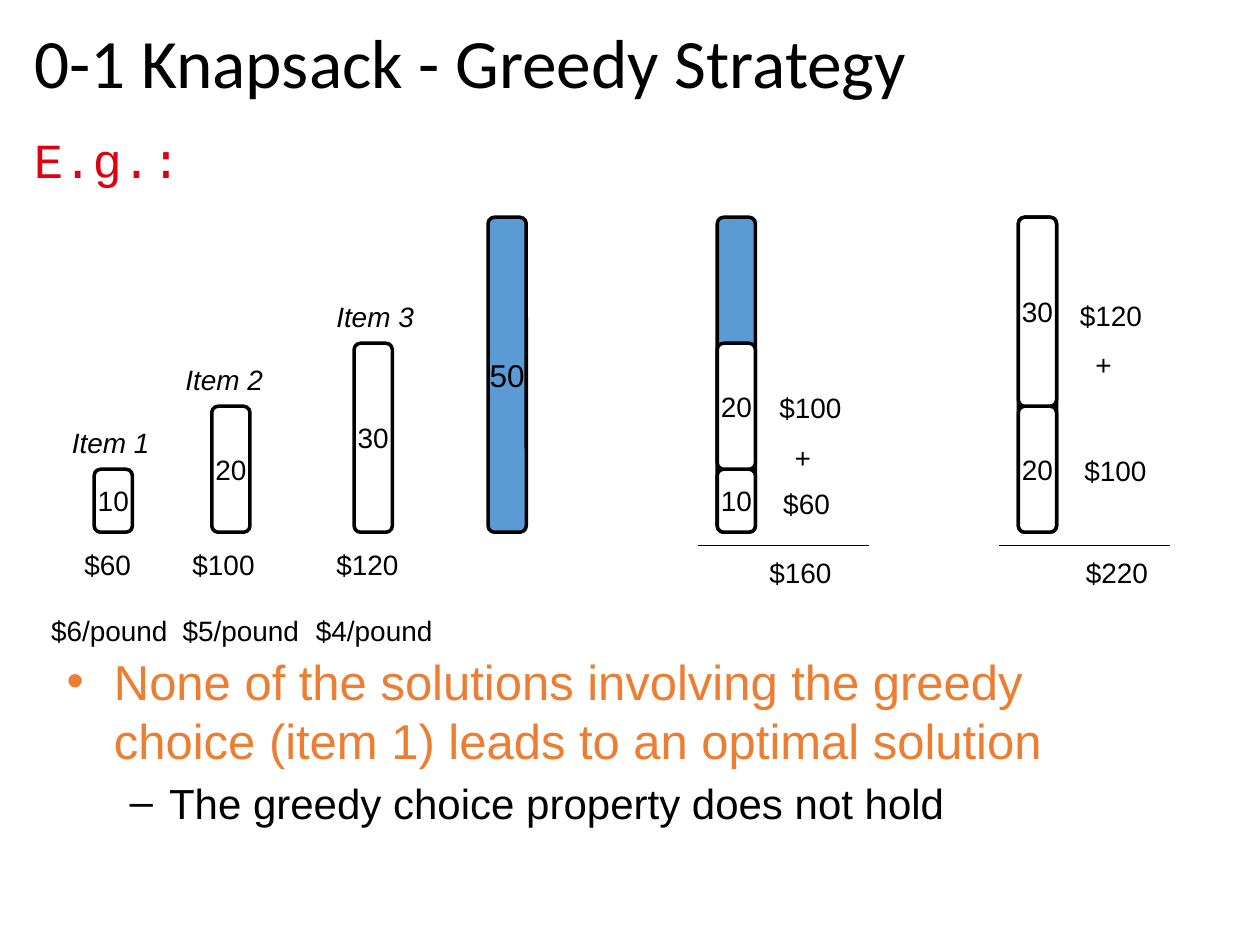
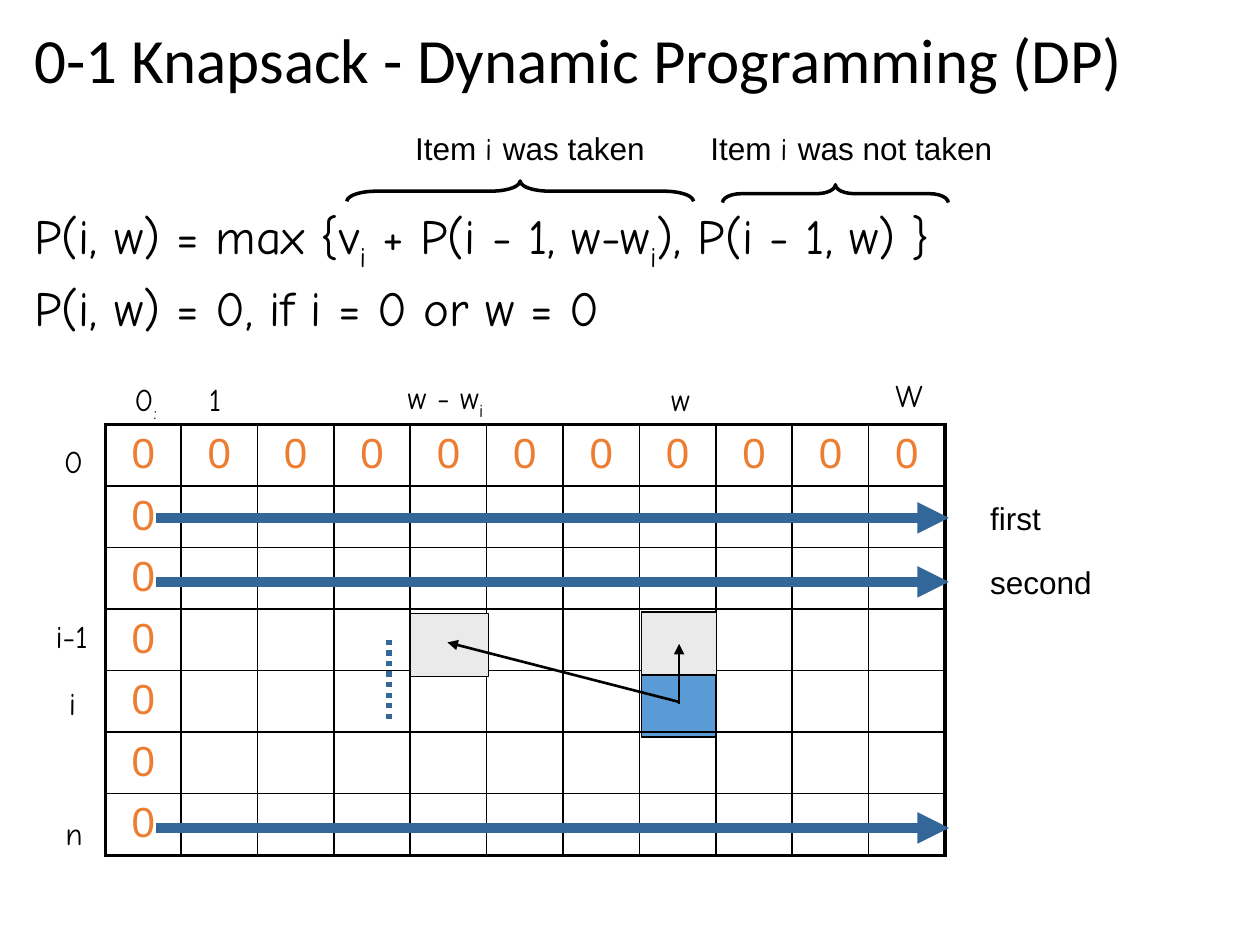
from lxml.etree import SubElement
from pptx import Presentation
from pptx.dml.color import RGBColor
from pptx.enum.dml import MSO_LINE_DASH_STYLE as DASH
from pptx.enum.shapes import MSO_CONNECTOR, MSO_SHAPE as SHAPE
from pptx.enum.text import MSO_ANCHOR, MSO_AUTO_SIZE as AUTO_SIZE, PP_ALIGN
from pptx.oxml.ns import qn
from pptx.util import Cm, Pt

COLORS = {"black": "000000", "white": "FFFFFF", "blue": "5B9BD5", "grey": "EAEAEA",
          "orange": "ED7D31", "red": "DD0111", "arrow": "336699"}
SANS, HAND, MONO, HEADING = "Arial", "Comic Neue", "Courier New", "Calibri"
SUBSCRIPT = -25000
CONTENT, TWO_CONTENT = 1, 3  # layouts of the default template
TITLE_BOX = (0.44, 0.46, 24.43, 1.88)

# Greedy slide: lengths in centimetres
BAR_WIDTH, POUND, BAR_BOTTOM, CAPACITY = 0.77, 0.127, 10.73, 50
PRICE_TOP, RATE_TOP, SUM_LINE_TOP, SUM_TOP = 10.92, 12.24, 11.0, 11.07
NAME_WIDTH, TENS_WIDTH, HUNDREDS_WIDTH, RATE_WIDTH = 2.08, 1.46, 1.8, 2.87
# weight, bar left, then (text, left, width) for name, price and price per pound
ITEMS = [
    (10, 1.9, ("Item 1", 1.2, NAME_WIDTH), ("$60", 1.45, TENS_WIDTH),
     ("$6/pound", 0.78, RATE_WIDTH)),
    (20, 4.27, ("Item 2", 3.49, NAME_WIDTH), ("$100", 3.63, HUNDREDS_WIDTH),
     ("$5/pound", 3.43, RATE_WIDTH)),
    (30, 7.14, ("Item 3", 6.53, NAME_WIDTH), ("$120", 6.53, HUNDREDS_WIDTH),
     ("$4/pound", 6.12, RATE_WIDTH)),
]
KNAPSACK_LEFT = 9.84
# weights are listed from the bottom up; values as (text, left, top, width)
SOLUTIONS = [
    {"left": 14.46, "weights": [10, 20], "sum": ("$160", 15.26),
     "values": [("$60", 15.54, 9.68, TENS_WIDTH), ("$100\n+", 15.46, 7.75, HUNDREDS_WIDTH)]},
    {"left": 20.53, "weights": [20, 30], "sum": ("$220", 21.64),
     "values": [("$100", 21.61, 9.02, HUNDREDS_WIDTH), ("$120\n+", 21.52, 5.89, HUNDREDS_WIDTH)]},
]
CONCLUSIONS = [
    ("None of the solutions involving the greedy choice (item 1) leads to an optimal solution",
     28, "orange"),
    ("The greedy choice property does not hold", 24, "black"),
]

# Dynamic programming slide: a run is (text, font, baseline)
FORMULAS = [
    [("P(i, w) = max {v", HAND, 0), ("i", HAND, SUBSCRIPT), (" + P(i - 1, w-w", HAND, 0),
     ("i", HAND, SUBSCRIPT), ("), P(i - 1, w) }", HAND, 0)],
    [("P(i, w) = 0, if i = 0 or w = 0", HAND, 0)],
]
# runs, left, top, width
TABLE_LABELS = [
    ([("0", HAND, 0), (":", HAND, SUBSCRIPT)], 2.46, 7.54, 1.02),
    ([("1", HAND, 0)], 3.96, 7.54, 0.79),
    ([("w - w", HAND, 0), ("i", HAND, SUBSCRIPT)], 7.97, 7.49, 2.16),
    ([("w", HAND, 0)], 13.28, 7.53, 0.94),
    ([("W", HAND, 0)], 17.8, 7.46, 1.17),
    ([("0", HAND, 0)], 1.04, 8.79, 0.89),
    ([("i-1", HAND, 0)], 0.87, 12.32, 1.24),
    ([("i", HAND, 0)], 1.14, 13.67, 0.69),
    ([("n", HAND, 0)], 1.07, 16.28, 0.84),
]
# ending of the label, its left and width, box of the brace, depth of the brace
CASES = [
    ("was taken", 8.12, 5.16, (10.28, 0.36, 0.41, 6.99), 1.47),
    ("was not taken", 14.07, 6.2, (16.66, 1.63, 0.36, 4.55), 1.06),
]
CASE_TOP = 2.48
ROWS, COLUMNS = 7, 11
TABLE_LEFT, TABLE_TOP, FIRST_COLUMN, COLUMN, ROW = 2.13, 8.56, 1.52, 1.54, 1.24
CURRENT_CELL = (12.93, 13.59, 1.52, 1.27)
PREVIOUS_CELLS = [(12.93, 12.34, 1.52, 1.27), (8.28, 12.37, 1.57, 1.27)]
DEPENDENCIES = [((13.69, 14.2), (13.69, 12.98)), ((13.69, 14.15), (9.02, 12.95))]
SWEEP_START, SWEEP_END, SWEEP_LABEL_LEFT = 3.15, 19.13, 19.71
# height of the arrow, label, width of the label
SWEEPS = [(10.44, "first", 1.58), (11.73, "second", 2.57), (16.69, None, 0)]
ELLIPSIS = ((7.84, 12.9), (7.84, 14.58))


def rgb(color):
    return RGBColor.from_string(COLORS[color])


def lengths(box):
    return [Cm(length) for length in box]


def style_font(font, size, name=SANS, color="black", italic=False):
    font.size, font.name, font.italic = Pt(size), name, italic
    font.color.rgb = rgb(color)


def write_runs(paragraph, runs, size):
    for text, name, baseline in runs:
        run = paragraph.add_run()
        run.text = text
        style_font(run.font, size, name)
        if baseline:
            run.font._element.set("baseline", str(baseline))


def indent(paragraph, left):
    properties = paragraph._p.get_or_add_pPr()
    properties.set("marL", str(Cm(left)))
    properties.set("indent", "0")
    return properties


def place(shape, box):
    shape.left, shape.top, shape.width, shape.height = lengths(box)


def add_titled_slide(presentation, layout, title, size):
    slide = presentation.slides.add_slide(presentation.slide_layouts[layout])
    shape = slide.shapes.title
    place(shape, TITLE_BOX)
    frame = shape.text_frame
    frame.text = title
    frame.auto_size, frame.vertical_anchor = AUTO_SIZE.NONE, MSO_ANCHOR.TOP
    paragraph = frame.paragraphs[0]
    paragraph.alignment, paragraph.line_spacing = PP_ALIGN.LEFT, 0.9
    style_font(paragraph.runs[0].font, size, HEADING)
    return slide


def prepare_body(slide, index, box):
    body = slide.placeholders[index]
    place(body, box)
    body.text_frame.auto_size = AUTO_SIZE.NONE
    return body.text_frame


def format_plain(paragraph):
    """Body paragraph without a bullet."""
    paragraph.line_spacing, paragraph.space_before = 0.9, Pt(10)
    SubElement(indent(paragraph, 0), qn("a:buNone"))


def add_label(slide, left, top, width, height):
    frame = slide.shapes.add_textbox(*lengths((left, top, width, height))).text_frame
    frame.word_wrap, frame.auto_size = False, AUTO_SIZE.SHAPE_TO_FIT_TEXT
    return frame


def add_amount(slide, text, left, top, width, italic=False):
    """16 pt label; a second line is set in and set apart."""
    frame = add_label(slide, left, top, width, 1.96 if "\n" in text else 0.94)
    frame.text = text
    for paragraph in frame.paragraphs:
        style_font(paragraph.runs[0].font, 16, italic=italic)
    for paragraph in frame.paragraphs[1:]:
        paragraph.space_before = Pt(9.2)
        indent(paragraph, 0.31)


def add_outlined(slide, kind, box, fill, line_width):
    shape = slide.shapes.add_shape(kind, *lengths(box))
    shape.shadow.inherit = False
    if fill:
        shape.fill.solid()
        shape.fill.fore_color.rgb = rgb(fill)
    else:
        shape.fill.background()
    shape.line.color.rgb, shape.line.width = rgb("black"), Pt(line_width)
    return shape


def add_bar(slide, left, weight, load=0, fill="white", text_size=16):
    """Bar as tall as its weight, standing on the load below it."""
    height = weight * POUND
    top = BAR_BOTTOM - load * POUND - height
    bar = add_outlined(slide, SHAPE.ROUNDED_RECTANGLE, (left, top, BAR_WIDTH, height), fill, 2)
    if text_size:
        frame = bar.text_frame
        frame.text, frame.word_wrap = str(weight), False
        frame.vertical_anchor = MSO_ANCHOR.MIDDLE
        frame.paragraphs[0].alignment = PP_ALIGN.CENTER
        style_font(frame.paragraphs[0].runs[0].font, text_size)
    return top


def add_line(slide, start, end, width, color="black", arrow=False, dash=None):
    connector = slide.shapes.add_connector(MSO_CONNECTOR.STRAIGHT, *lengths(start + end))
    line = connector.line
    line.color.rgb, line.width = rgb(color), Pt(width)
    if dash:
        line.dash_style = dash
    if arrow:
        SubElement(line._get_or_add_ln(), qn("a:tailEnd"), type="triangle")
    SubElement(connector._element.spPr, qn("a:effectLst"))


def add_zero_table(slide):
    """Table with zeros in its first row and first column."""
    width = FIRST_COLUMN + (COLUMNS - 1) * COLUMN
    box = (TABLE_LEFT, TABLE_TOP, width, ROWS * ROW)
    table = slide.shapes.add_table(ROWS, COLUMNS, *lengths(box)).table
    table.first_row = table.horz_banding = False
    for index, column in enumerate(table.columns):
        column.width = Cm(COLUMN if index else FIRST_COLUMN)
    for row_index, row in enumerate(table.rows):
        row.height = Cm(ROW)
        for column_index, cell in enumerate(row.cells):
            outer = {"lnL": column_index == 0, "lnR": column_index == COLUMNS - 1,
                     "lnT": row_index == 0, "lnB": row_index == ROWS - 1}
            format_cell(cell, outer)
            if row_index == 0 or column_index == 0:
                cell.text = "0"
                paragraph = cell.text_frame.paragraphs[0]
                paragraph.alignment = PP_ALIGN.CENTER
                style_font(paragraph.runs[0].font, 24, color="orange")


def format_cell(cell, outer):
    """Clear cell with thick borders on the outer sides."""
    properties = cell._tc.get_or_add_tcPr()
    for side, is_outer in outer.items():
        border = SubElement(properties, qn(f"a:{side}"), w=str(Pt(2.25 if is_outer else 1)))
        fill = SubElement(border, qn("a:solidFill"))
        SubElement(fill, qn("a:srgbClr"), val=COLORS["black"])
    cell.fill.background()
    cell.margin_bottom = Cm(0.05)


def build_greedy(presentation):
    slide = add_titled_slide(presentation, TWO_CONTENT, "0-1 Knapsack - Greedy Strategy", 39.6)
    frame = prepare_body(slide, 1, (0.43, 2.62, 24.43, 1.5))
    frame.text = "E.g.:"
    format_plain(frame.paragraphs[0])
    style_font(frame.paragraphs[0].runs[0].font, 28, MONO, "red")

    for weight, left, name, price, rate in ITEMS:
        top = add_bar(slide, left, weight)
        for (text, label_left, width), label_top in (
                (name, top - 1.0), (price, PRICE_TOP), (rate, RATE_TOP)):
            add_amount(slide, text, label_left, label_top, width, italic=text == name[0])
    add_bar(slide, KNAPSACK_LEFT, CAPACITY, fill="blue", text_size=18)

    for solution in SOLUTIONS:
        left, load = solution["left"], 0
        add_bar(slide, left, CAPACITY, fill="blue", text_size=None)
        for weight in solution["weights"]:
            add_bar(slide, left, weight, load)
            load += weight
        for value in solution["values"]:
            add_amount(slide, *value)
        start = left - 0.39
        add_line(slide, (start, SUM_LINE_TOP), (start + 3.45, SUM_LINE_TOP), 0.75)
        text, sum_left = solution["sum"]
        add_amount(slide, text, sum_left, SUM_TOP, HUNDREDS_WIDTH)

    frame = prepare_body(slide, 2, (1.09, 13.0, 22.86, 5.21))
    frame.text = "\n".join(text for text, _, _ in CONCLUSIONS)
    for level, (paragraph, (_, size, color)) in enumerate(zip(frame.paragraphs, CONCLUSIONS)):
        paragraph.level = level
        style_font(paragraph.runs[0].font, size, color=color)


def build_dynamic(presentation):
    slide = add_titled_slide(presentation, CONTENT,
                             "0-1 Knapsack - Dynamic Programming (DP)", 36)
    frame = prepare_body(slide, 1, (0.44, 4.04, 24.43, 3.3))
    for index, runs in enumerate(FORMULAS):
        paragraph = frame.add_paragraph() if index else frame.paragraphs[0]
        format_plain(paragraph)
        write_runs(paragraph, runs, 28)

    for ending, left, width, brace_box, depth in CASES:
        frame = add_label(slide, left, CASE_TOP, width, 1.02)
        runs = [("Item ", SANS, 0), ("i ", HAND, 0), (ending, SANS, 0)]
        write_runs(frame.paragraphs[0], runs, 18)
        brace = add_outlined(slide, SHAPE.LEFT_BRACE, brace_box, None, 2)
        brace.rotation = 90
        brace.adjustments[0] = depth

    add_outlined(slide, SHAPE.RECTANGLE, CURRENT_CELL, "blue", 0.75)
    add_zero_table(slide)
    for runs, left, top, width in TABLE_LABELS:
        write_runs(add_label(slide, left, top, width, 1.02).paragraphs[0], runs, 18)
    for box in PREVIOUS_CELLS:
        add_outlined(slide, SHAPE.RECTANGLE, box, "grey", 0.75)
    for start, end in DEPENDENCIES:
        add_line(slide, start, end, 1.5, arrow=True)
    for top, text, width in SWEEPS:
        add_line(slide, (SWEEP_START, top), (SWEEP_END, top), 6, "arrow", arrow=True)
        if text:
            frame = add_label(slide, SWEEP_LABEL_LEFT, top - 0.51, width, 1.02)
            write_runs(frame.paragraphs[0], [(text, SANS, 0)], 18)
    add_line(slide, *ELLIPSIS, 3, "arrow", dash=DASH.ROUND_DOT)


def main():
    presentation = Presentation()
    presentation.slide_width, presentation.slide_height = Cm(25.4), Cm(19.05)
    build_greedy(presentation)
    build_dynamic(presentation)
    presentation.save("out.pptx")


if __name__ == "__main__":
    main()
